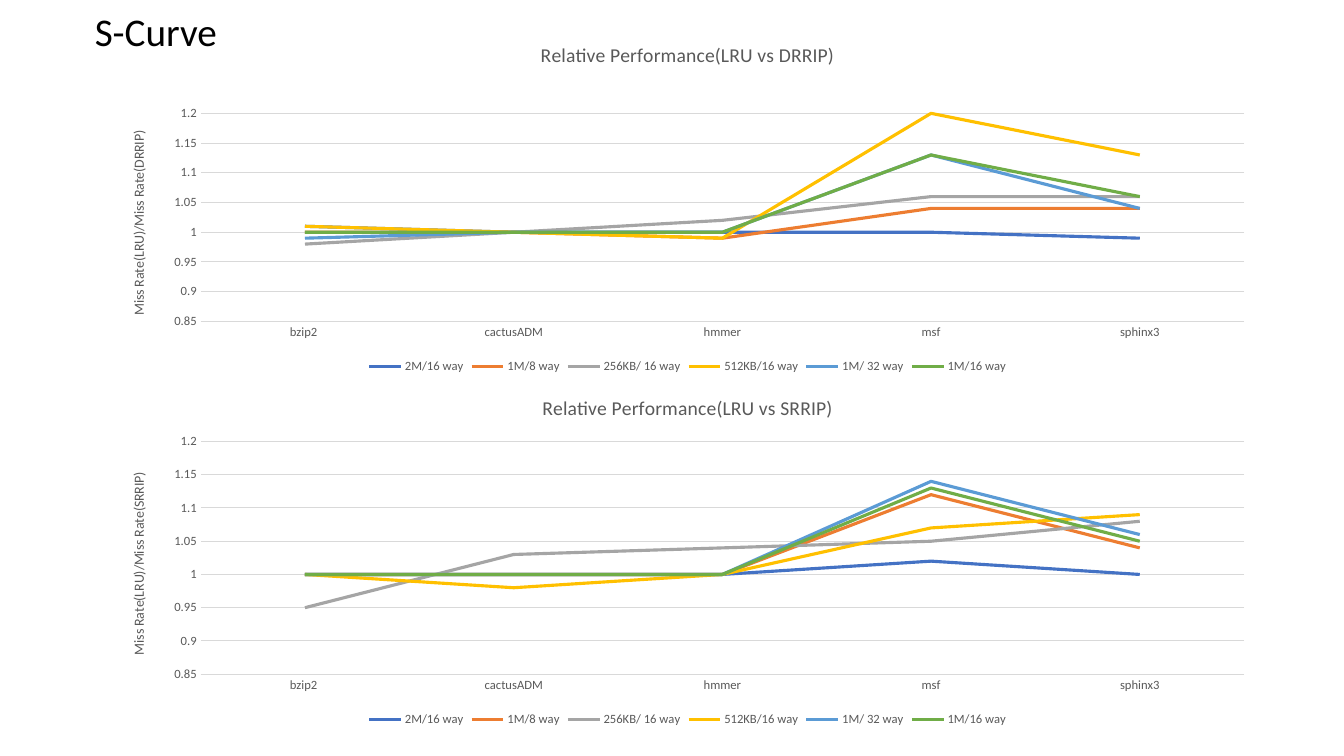
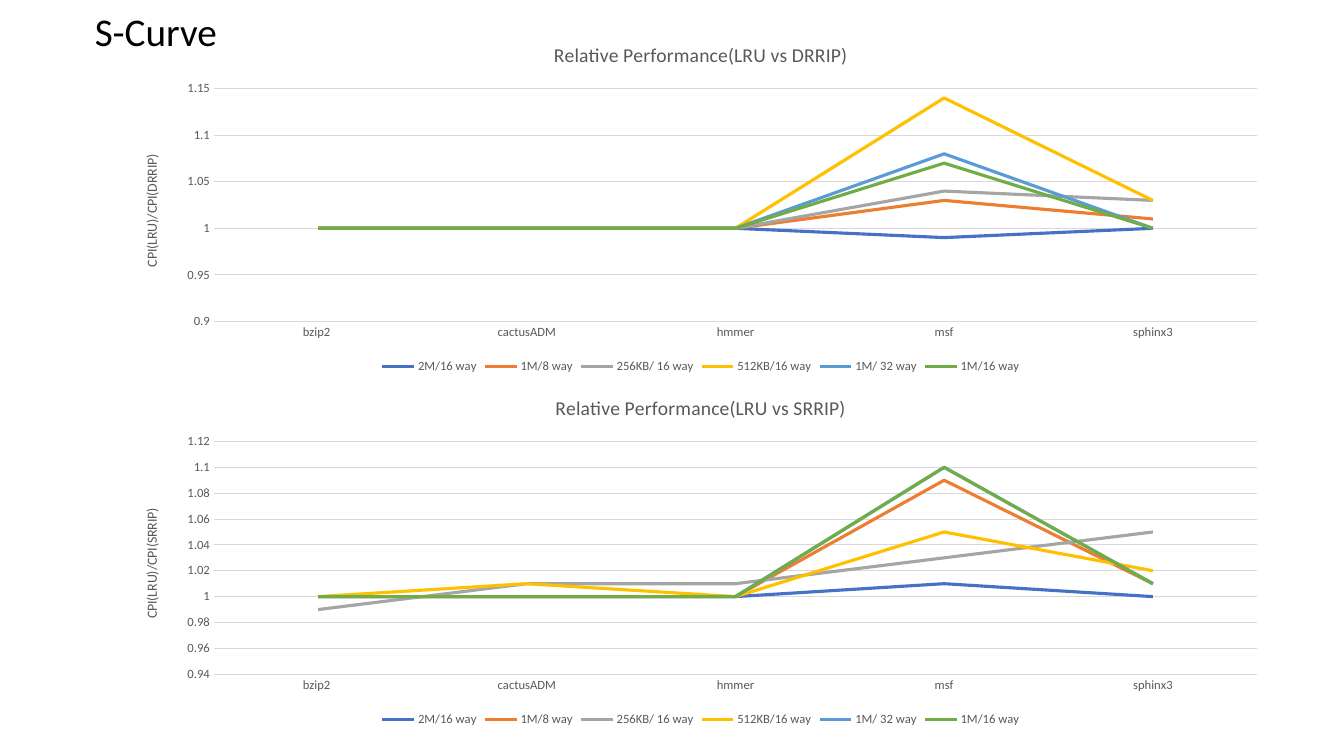
from dataclasses import dataclass
from lxml.etree import SubElement
from pptx import Presentation
from pptx.chart.data import CategoryChartData
from pptx.dml.color import RGBColor
from pptx.enum.chart import XL_CHART_TYPE, XL_LEGEND_POSITION, XL_TICK_MARK
from pptx.enum.text import MSO_ANCHOR, PP_ALIGN
from pptx.oxml.ns import qn
from pptx.util import Inches, Pt


@dataclass(frozen=True)
class Theme:
    font: str = "Calibri"
    ink: str = "000000"
    label: str = "595959"
    grid: str = "D9D9D9"
    series: tuple = ("4472C4", "ED7D31", "A5A5A5", "FFC000", "5B9BD5", "70AD47")
    heading_size: int = 28
    chart_title_size: int = 14
    axis_title_size: int = 10
    tick_size: int = 9
    grid_width: float = 0.75
    curve_width: float = 2.25


@dataclass(frozen=True)
class Comparison:
    policy: str
    metric: str
    low: float
    high: float
    step: float
    ratios: tuple
    plot_top: float = 0.18


THEME = Theme()
BENCHMARKS = ("bzip2 ", "cactusADM", "hmmer", "msf", "sphinx3")
CACHES = ("2M/16 way", "1M/8 way", "256KB/ 16 way",
          "512KB/16 way", "1M/ 32 way", "1M/16 way")
CHART_WIDTH, CHART_HEIGHT, CHART_TOP = 11.5, 3.5, 0.25
PLOT_LEFT, PLOT_WIDTH, PLOT_BOTTOM = 0.08, 0.9, 0.84

MISS_RATES = (
    Comparison("DRRIP", "Miss Rate", 0.85, 1.2, 0.05, (
        (1.01, 1, 1, 1, 0.99),
        (1, 1, 0.99, 1.04, 1.04),
        (0.98, 1, 1.02, 1.06, 1.06),
        (1.01, 1, 0.99, 1.2, 1.13),
        (0.99, 1, 1, 1.13, 1.04),
        (1, 1, 1, 1.13, 1.06)), plot_top=0.25),
    Comparison("SRRIP", "Miss Rate", 0.85, 1.2, 0.05, (
        (1, 1, 1, 1.02, 1),
        (1, 1, 1, 1.12, 1.04),
        (0.95, 1.03, 1.04, 1.05, 1.08),
        (1, 0.98, 1, 1.07, 1.09),
        (1, 1, 1, 1.14, 1.06),
        (1, 1, 1, 1.13, 1.05))),
)
CYCLES = (
    Comparison("DRRIP", "CPI", 0.9, 1.15, 0.05, (
        (1, 1, 1, 0.99, 1),
        (1, 1, 1, 1.03, 1.01),
        (1, 1, 1, 1.04, 1.03),
        (1, 1, 1, 1.14, 1.03),
        (1, 1, 1, 1.08, 1),
        (1, 1, 1, 1.07, 1))),
    Comparison("SRRIP", "CPI", 0.94, 1.12, 0.02, (
        (1, 1, 1, 1.01, 1),
        (1, 1, 1, 1.09, 1.01),
        (0.99, 1.01, 1.01, 1.03, 1.05),
        (1, 1.01, 1, 1.05, 1.02),
        (1, 1, 1, 1.1, 1.01),
        (1, 1, 1, 1.1, 1.01))),
)


def style_font(font, size, color):
    font.name = THEME.font
    font.size = Pt(size)
    font.bold = False
    font.color.rgb = RGBColor.from_string(color)


def style_line(line, color, width):
    line.color.rgb = RGBColor.from_string(color)
    line.width = Pt(width)


def write_caption(frame, text, size, color):
    frame.text = text
    for run in frame.paragraphs[0].runs:
        style_font(run.font, size, color)


def place_plot(chart, top):
    plot_area = chart.element.find(".//" + qn("c:plotArea"))
    for previous in plot_area.findall(qn("c:layout")):
        plot_area.remove(previous)
    layout = SubElement(plot_area, qn("c:layout"))
    plot_area.insert(0, layout)
    manual = SubElement(layout, qn("c:manualLayout"))
    settings = (("layoutTarget", "inner"), ("xMode", "edge"), ("yMode", "edge"),
                ("x", PLOT_LEFT), ("y", top),
                ("w", PLOT_WIDTH), ("h", round(PLOT_BOTTOM - top, 2)))
    for tag, setting in settings:
        SubElement(manual, qn("c:" + tag)).set("val", str(setting))


def style_axes(chart, comparison):
    benchmarks, ratio = chart.category_axis, chart.value_axis
    for axis in (benchmarks, ratio):
        axis.major_tick_mark = axis.minor_tick_mark = XL_TICK_MARK.NONE
        style_font(axis.tick_labels.font, THEME.tick_size, THEME.label)
    style_line(benchmarks.format.line, THEME.grid, THEME.grid_width)
    ratio.format.line.fill.background()
    style_line(ratio.major_gridlines.format.line, THEME.grid, THEME.grid_width)
    ratio.minimum_scale, ratio.maximum_scale = comparison.low, comparison.high
    ratio.major_unit = comparison.step
    metric, policy = comparison.metric, comparison.policy
    write_caption(ratio.axis_title.text_frame,
                  f"{metric}(LRU)/{metric}({policy})",
                  THEME.axis_title_size, THEME.label)


def add_comparison(slide, comparison, left, top, width, height):
    table = CategoryChartData()
    table.categories = BENCHMARKS
    for cache, ratios in zip(CACHES, comparison.ratios):
        table.add_series(cache, ratios)
    chart = slide.shapes.add_chart(
        XL_CHART_TYPE.LINE, Inches(left), Inches(top),
        Inches(width), Inches(height), table).chart
    style_font(chart.font, THEME.axis_title_size, THEME.ink)
    write_caption(chart.chart_title.text_frame,
                  f"Relative Performance(LRU vs {comparison.policy})",
                  THEME.chart_title_size, THEME.label)
    chart.has_legend = True
    chart.legend.position = XL_LEGEND_POSITION.BOTTOM
    chart.legend.include_in_layout = False
    style_font(chart.legend.font, THEME.tick_size, THEME.label)
    style_axes(chart, comparison)
    chart.plots[0].vary_by_categories = False
    for curve, color in zip(chart.plots[0].series, THEME.series):
        curve.smooth = False
        style_line(curve.format.line, color, THEME.curve_width)
    place_plot(chart, comparison.plot_top)


def add_heading(slide, text, left, top, width, height):
    heading = slide.shapes.title
    heading.left, heading.top = Inches(left), Inches(top)
    heading.width, heading.height = Inches(width), Inches(height)
    frame = heading.text_frame
    write_caption(frame, text, THEME.heading_size, THEME.ink)
    frame.vertical_anchor = MSO_ANCHOR.MIDDLE
    frame.paragraphs[0].alignment = PP_ALIGN.LEFT
    frame.paragraphs[0].line_spacing = 0.9


def add_curve_slide(deck, comparisons, left):
    slide = deck.slides.add_slide(deck.slide_layouts[5])
    add_heading(slide, "S-Curve", 0.84, 0.08, 2.57, 0.52)
    for row, comparison in enumerate(comparisons):
        add_comparison(slide, comparison, left, CHART_TOP + row * CHART_HEIGHT,
                       CHART_WIDTH, CHART_HEIGHT)


deck = Presentation()
deck.slide_width, deck.slide_height = Inches(13.33), Inches(7.5)
add_curve_slide(deck, MISS_RATES, 1.07)
add_curve_slide(deck, CYCLES, 1.2)
deck.save("out.pptx")
